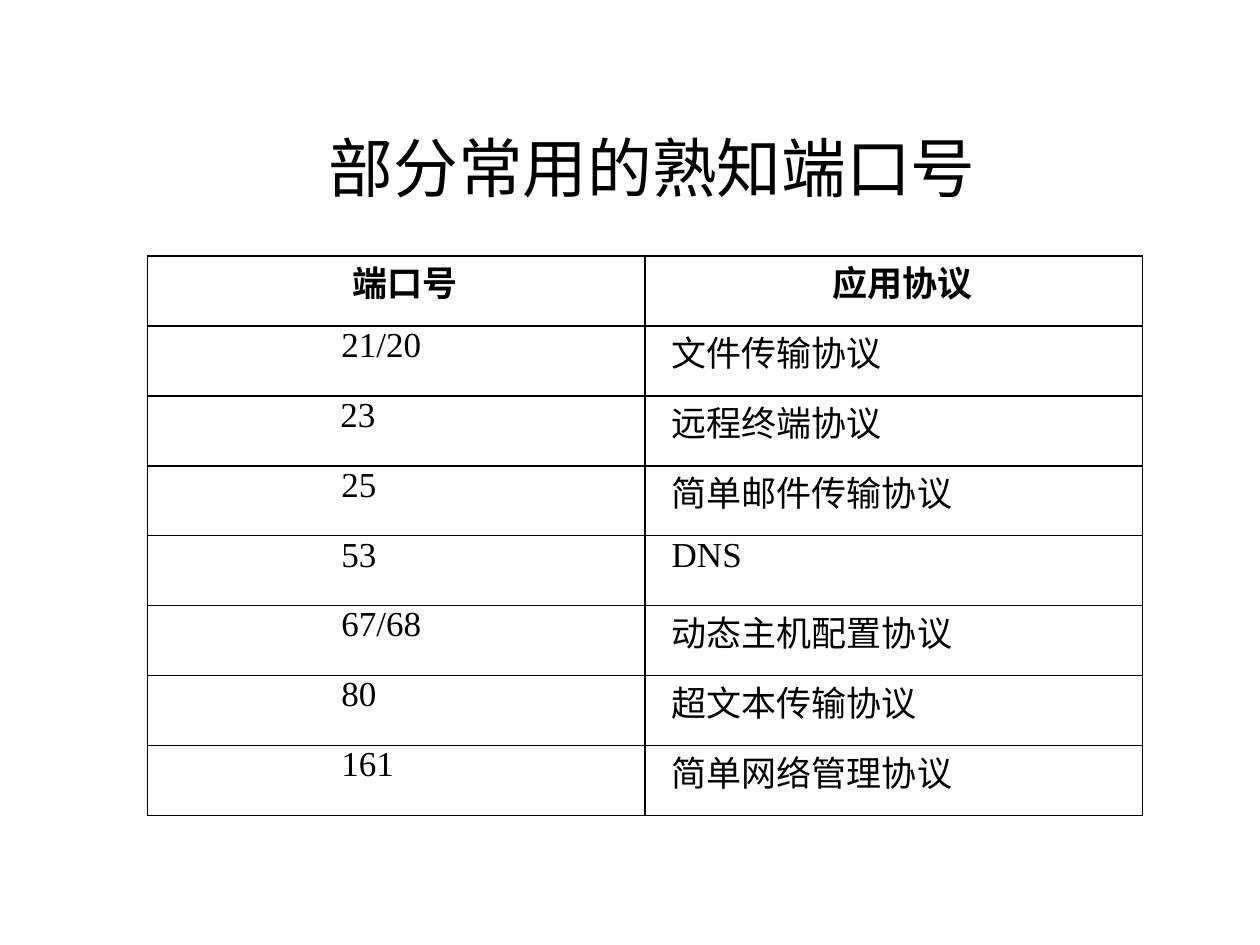
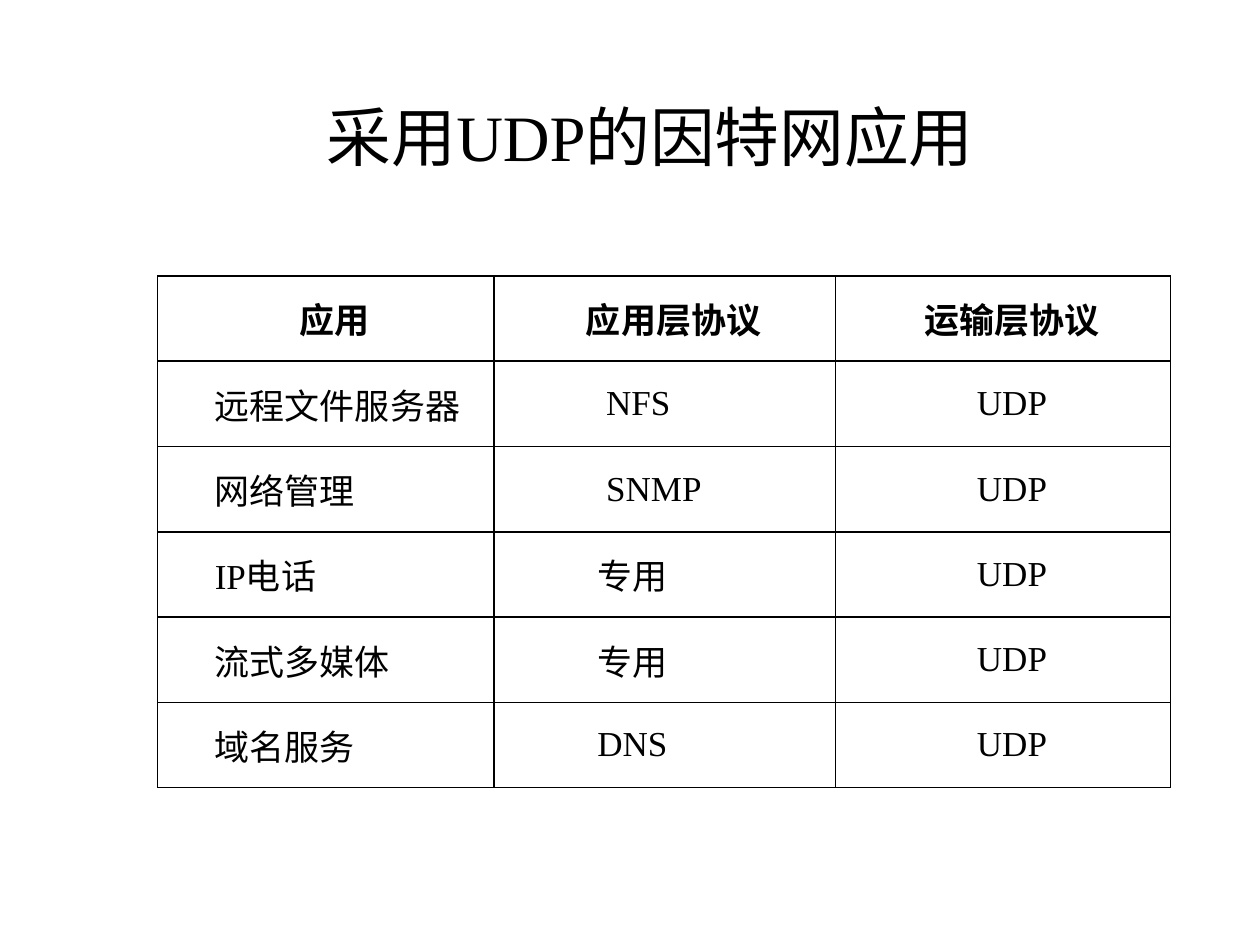
"""Build two slides with tables of well-known ports and UDP applications."""
from lxml import etree
from pptx import Presentation
from pptx import util as u
from pptx.dml.color import RGBColor
from pptx.enum import text
from pptx.oxml.ns import qn

BLACK = RGBColor(0x00, 0x00, 0x00)
WHITE = RGBColor(0xFF, 0xFF, 0xFF)
FONT = "Times New Roman"
TITLE_SIZE, TABLE_SIZE = 37, 20
TITLE_MARGIN, TITLE_INDENT = 1.02, -0.71
CELL_INSET, CELL_INDENT = 0.18, 0.36
LEFT, CENTER, JUSTIFY = text.PP_ALIGN.LEFT, text.PP_ALIGN.CENTER, text.PP_ALIGN.JUSTIFY
TOP, MIDDLE = text.MSO_ANCHOR.TOP, text.MSO_ANCHOR.MIDDLE

SLIDES = [
    {
        "title": "部分常用的熟知端口号",
        "title_box": (3.71, 2.13, 18.57, 1.65),
        "table_at": (2.97, 5.16),
        "widths": (10.03, 10.03),
        "row_height": 1.41,
        "anchor": TOP,
        "columns": [(LEFT, 3.73), (LEFT, CELL_INDENT)],
        "indents": {"23": 3.71},
        "rows": [
            ("端口号", "应用协议"),
            ("21/20", "文件传输协议"),
            ("23", "远程终端协议"),
            ("25", "简单邮件传输协议"),
            ("53", "DNS"),
            ("67/68", "动态主机配置协议"),
            ("80", "超文本传输协议"),
            ("161", "简单网络管理协议"),
        ],
    },
    {
        "title": "采用UDP的因特网应用",
        "title_box": (5.31, 1.52, 15.29, 1.4),
        "table_at": (3.18, 5.56),
        "widths": (6.78, 6.88, 6.76),
        "row_height": 1.72,
        "anchor": MIDDLE,
        "columns": [(JUSTIFY, 0.97), (JUSTIFY, 1.9), (CENTER, CELL_INDENT)],
        "indents": {"NFS": 2.08, "SNMP": 2.08},
        "rows": [
            ("应用", "应用层协议", "运输层协议"),
            ("远程文件服务器", "NFS", "UDP"),
            ("网络管理", "SNMP", "UDP"),
            ("IP电话", "专用", "UDP"),
            ("流式多媒体", "专用", "UDP"),
            ("域名服务", "DNS", "UDP"),
        ],
    },
]


def write(paragraph, wording, size, align, margin, indent, bold=False):
    paragraph.alignment = align
    properties = paragraph._p.get_or_add_pPr()
    properties.set("marL", str(u.Cm(margin)))
    properties.set("indent", str(u.Cm(indent)))
    run = paragraph.add_run()
    run.text = wording
    run.font.name = FONT
    run.font.size = u.Pt(size)
    run.font.bold = bold
    run.font.color.rgb = BLACK


def add_title(slide, wording, box):
    frame = slide.shapes.add_textbox(*map(u.Cm, box)).text_frame
    frame.word_wrap = True
    paragraph = frame.paragraphs[0]
    paragraph.line_spacing = 1.2
    write(paragraph, wording, TITLE_SIZE, CENTER, TITLE_MARGIN, TITLE_INDENT)


def style_cell(cell, anchor):
    cell.margin_left = cell.margin_right = u.Cm(CELL_INSET)
    cell.margin_top = cell.margin_bottom = 0
    cell.vertical_anchor = anchor
    properties = cell._tc.get_or_add_tcPr()
    for side in ("a:lnL", "a:lnR", "a:lnT", "a:lnB"):
        line = etree.SubElement(properties, qn(side), w=str(u.Pt(1)))
        fill = etree.SubElement(line, qn("a:solidFill"))
        etree.SubElement(fill, qn("a:srgbClr"), val=str(BLACK))
    cell.fill.solid()
    cell.fill.fore_color.rgb = WHITE


def add_table(slide, content):
    rows, widths = content["rows"], content["widths"]
    height = content["row_height"]
    left, top = content["table_at"]
    table = slide.shapes.add_table(
        len(rows), len(widths), u.Cm(left), u.Cm(top),
        u.Cm(sum(widths)), u.Cm(height * len(rows))).table
    table.first_row = table.horz_banding = False
    for column, width in zip(table.columns, widths):
        column.width = u.Cm(width)
    for row_index, row in enumerate(rows):
        table.rows[row_index].height = u.Cm(height)
        header = row_index == 0
        for column_index, wording in enumerate(row):
            cell = table.cell(row_index, column_index)
            style_cell(cell, content["anchor"])
            align, indent = (CENTER, CELL_INDENT) if header else content["columns"][column_index]
            indent = content["indents"].get(wording, indent)
            write(cell.text_frame.paragraphs[0], wording, TABLE_SIZE, align, 0, indent, header)


def main():
    presentation = Presentation()
    presentation.slide_width, presentation.slide_height = u.Cm(25.4), u.Cm(19.05)
    for content in SLIDES:
        slide = presentation.slides.add_slide(presentation.slide_layouts[6])
        add_title(slide, content["title"], content["title_box"])
        add_table(slide, content)
    presentation.save("out.pptx")


if __name__ == "__main__":
    main()
